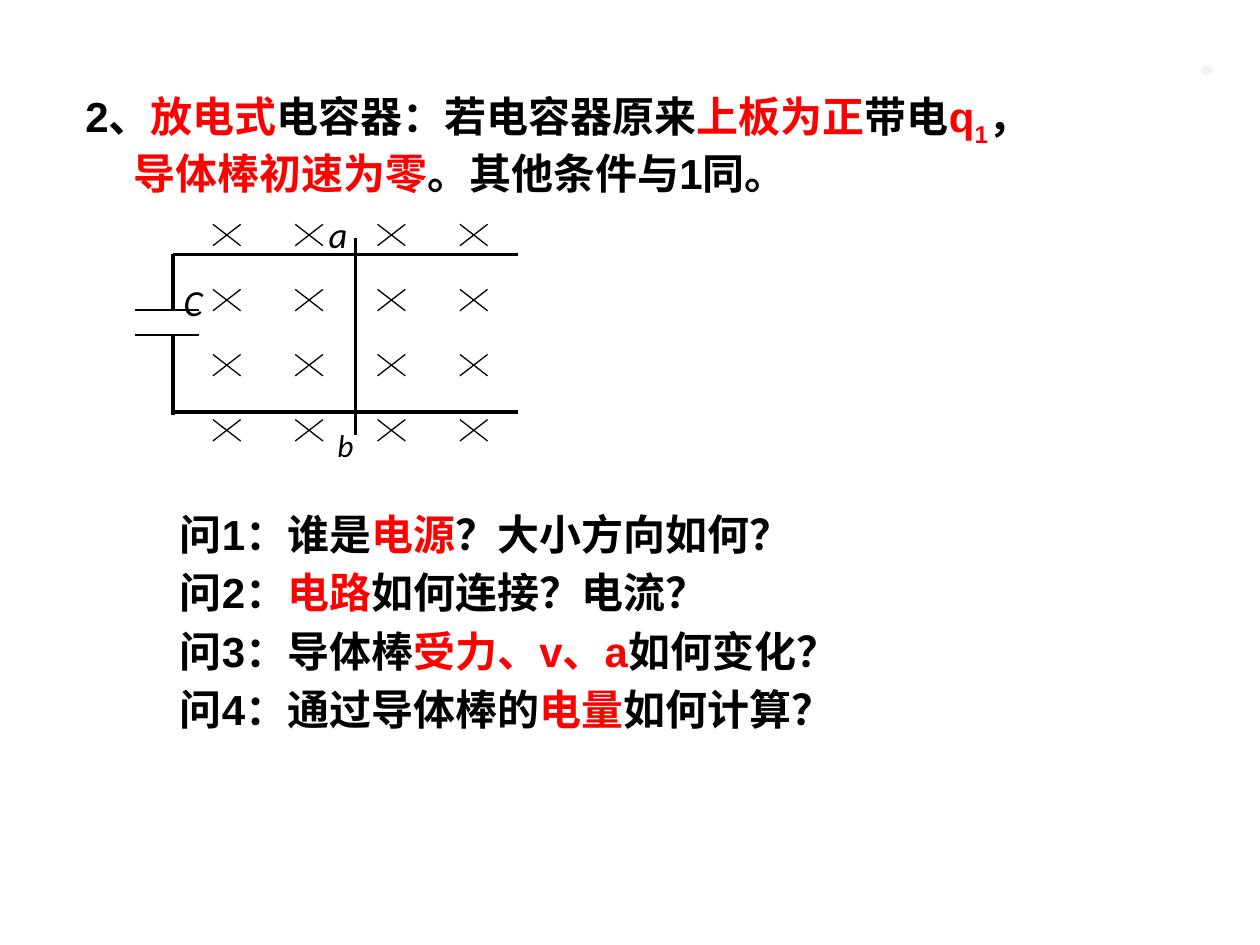
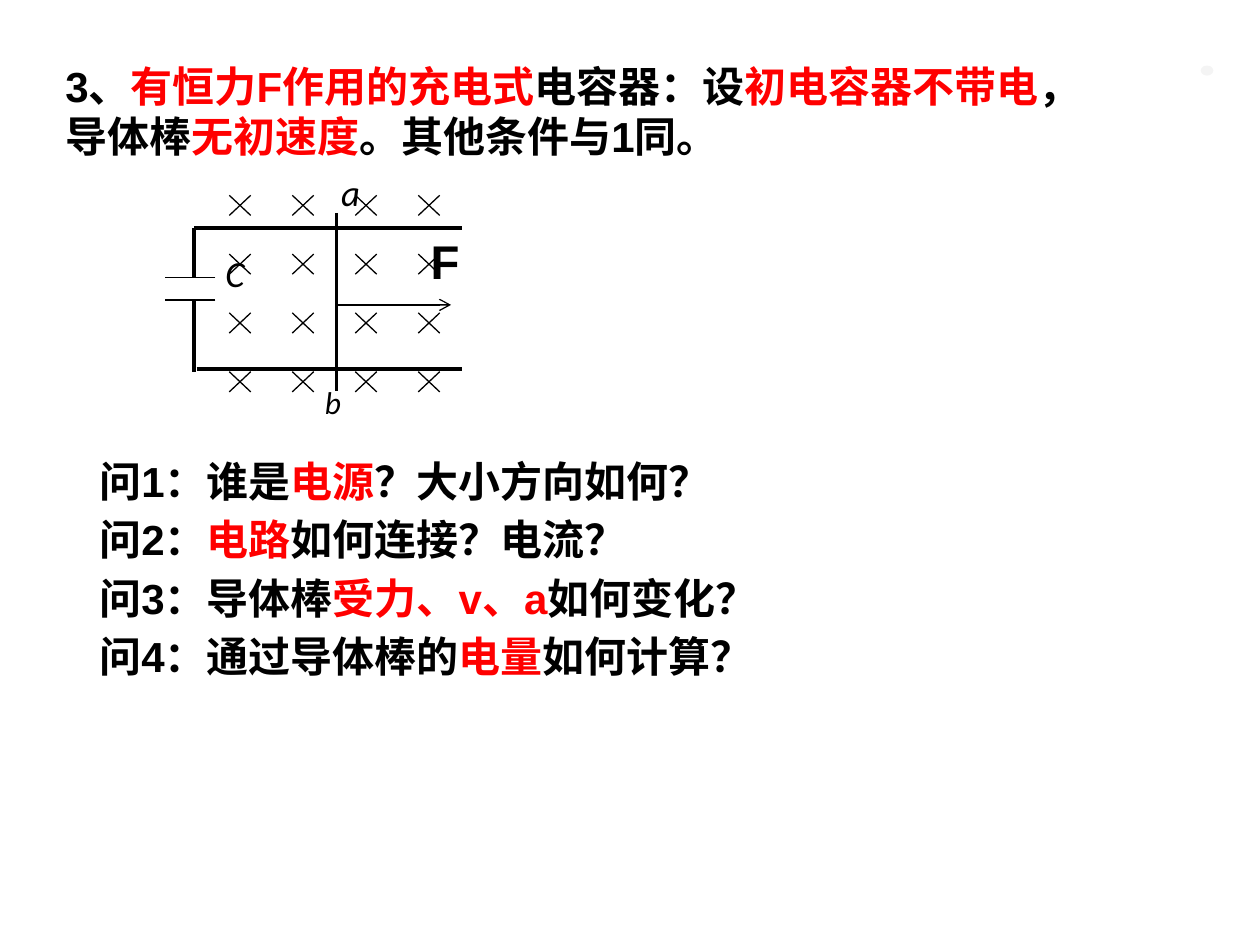
"""Build two slides on capacitor circuits with a conducting rod in a magnetic field."""
from lxml import etree
from pptx import Presentation
from pptx import util as u
from pptx.dml import color
from pptx.enum import shapes
from pptx.oxml import ns

COLORS = {"text": "000000", "accent": "FF0000", "paper": "FFFFFF", "dot": "DDDDDD"}
THIN, ROD, WIRE = 0.75, 1.5, 2.25
GRID_COUNT = 4
QUESTIONS = [
    "问1：谁是|电源|？大小方向如何？",
    "问2：|电路|如何连接？电流？",
    "问3：导体棒|受力、v、a|如何变化？",
    "问4：通过导体棒的|电量|如何计算？",
]
SLIDES = [
    {
        "title": ["2、|放电式|电容器：若电容器原来|上板为正|带电|q_1|，",
                  "|导体棒初速为零|。其他条件与1同。"],
        "title_box": (0.58, 0.67, 7.95, 0.96),
        "question_box": (1.33, 3.92, 5.44, 2.88),
        "cross_x": (1.69, 3.65), "cross_y": (1.78, 3.33), "cross_size": (0.22, 0.17),
        "wire_x": (1.37, 4.11), "wire_y": (2.02, 3.27),
        "plate_x": (1.07, 1.58), "plate_y": (2.46, 2.66),
        "rod": (2.82, 1.89, 2.82, 3.45),
        "labels": [("a", 21, (2.51, 1.63, 0.39, 0.28)),
                   ("b", 18, (2.58, 3.33, 0.39, 0.34)),
                   ("C", 21, (1.36, 2.17, 0.38, 0.29))],
        "force": None,
    },
    {
        "title": ["3、|有恒力F作用的充电式|电容器：设|初电容器不带电|，导体棒|无初速度|。其他条件与1同。"],
        "title_box": (0.42, 0.43, 7.99, 0.9),
        "question_box": (0.69, 3.5, 5.44, 2.88),
        "cross_x": (1.82, 3.32), "cross_y": (1.55, 2.95), "cross_size": (0.17, 0.16),
        "wire_x": (1.54, 3.67), "wire_y": (1.81, 2.93),
        "plate_x": (1.31, 1.71), "plate_y": (2.2, 2.38),
        "rod": (2.67, 1.69, 2.67, 3.1),
        "labels": [("a", 21, (2.61, 1.3, 0.31, 0.25)),
                   ("b", 18, (2.48, 2.99, 0.31, 0.31)),
                   ("C", 21, (1.69, 1.94, 0.3, 0.26))],
        "force": {"arrow": (2.67, 2.42, 3.58, 2.42), "box": (3.32, 1.79, 0.53, 0.55)},
    },
]


def add_line(slide, ends, width):
    line = slide.shapes.add_connector(
        shapes.MSO_CONNECTOR.STRAIGHT, *[u.Inches(value) for value in ends])
    line.line.color.rgb = color.RGBColor.from_string(COLORS["text"])
    line.line.width = u.Pt(width)
    etree.SubElement(line._element.spPr, ns.qn("a:effectLst"))
    return line


def add_text(slide, box, lines, size=24, font="Arial", italic=False, spacing=None):
    """Write lines whose |marked| parts are red and whose _ starts a subscript."""
    frame = slide.shapes.add_textbox(*[u.Inches(value) for value in box]).text_frame
    frame.word_wrap = True
    for number, line in enumerate(lines):
        paragraph = frame.add_paragraph() if number else frame.paragraphs[0]
        paragraph.line_spacing = spacing
        paragraph.font.name = font
        paragraph.font.size = u.Pt(size)
        paragraph.font.bold = not italic
        paragraph.font.italic = italic
        for part_number, part in enumerate(line.split("|")):
            base, _, subscript = part.partition("_")
            for words, offset in ((base, None), (subscript, "-25000")):
                if words:
                    run = paragraph.add_run()
                    run.text = words
                    run.font.color.rgb = color.RGBColor.from_string(
                        COLORS["accent" if part_number % 2 else "text"])
                    if offset:
                        run.font._element.set("baseline", offset)
    return frame


presentation = Presentation()
presentation.slide_width = u.Inches(10)
presentation.slide_height = u.Inches(7.5)

for content in SLIDES:
    slide = presentation.slides.add_slide(presentation.slide_layouts[6])

    dot = slide.shapes.add_shape(
        shapes.MSO_SHAPE.OVAL, u.Inches(9.53), u.Inches(0.52), u.Inches(0.1), u.Inches(0.08))
    dot.shadow.inherit = False
    dot.fill.solid()
    dot.fill.fore_color.rgb = color.RGBColor.from_string(COLORS["dot"])
    dot.line.fill.background()
    dot_color = dot._element.spPr.find(".//" + ns.qn("a:srgbClr"))
    etree.SubElement(dot_color, ns.qn("a:alpha"), val="32000")

    first_x, last_x = content["cross_x"]
    first_y, last_y = content["cross_y"]
    cross_width, cross_height = content["cross_size"]
    for column in range(GRID_COUNT):
        left = first_x + column * (last_x - first_x) / (GRID_COUNT - 1)
        right = left + cross_width
        for row in range(GRID_COUNT):
            top = first_y + row * (last_y - first_y) / (GRID_COUNT - 1)
            bottom = top + cross_height
            add_line(slide, (left, top, right, bottom), THIN)
            add_line(slide, (right, top, left, bottom), THIN)

    wire_left, wire_right = content["wire_x"]
    wire_top, wire_bottom = content["wire_y"]
    add_line(slide, (wire_left, wire_top, wire_right, wire_top), WIRE)
    add_line(slide, (wire_left + 0.02, wire_bottom, wire_right, wire_bottom), WIRE)
    add_line(slide, (wire_left, wire_top, wire_left, wire_bottom + 0.02), WIRE)

    plate_left, plate_right = content["plate_x"]
    plate_top, plate_bottom = content["plate_y"]
    gap = slide.shapes.add_shape(
        shapes.MSO_SHAPE.RECTANGLE, u.Inches(plate_left), u.Inches(plate_top),
        u.Inches(plate_right - plate_left), u.Inches(plate_bottom - plate_top))
    gap.shadow.inherit = False
    gap.fill.solid()
    gap.fill.fore_color.rgb = color.RGBColor.from_string(COLORS["paper"])
    gap.line.fill.background()
    for plate_y in content["plate_y"]:
        add_line(slide, (plate_right, plate_y, plate_left, plate_y), THIN)
    add_line(slide, content["rod"], ROD)

    for label, size, box in content["labels"]:
        add_text(slide, box, [label], size, "Calibri", italic=True)

    if content["force"]:
        arrow = add_line(slide, content["force"]["arrow"], THIN)
        etree.SubElement(arrow.line._get_or_add_ln(), ns.qn("a:tailEnd"), type="arrow")
        add_text(slide, content["force"]["box"], ["F"], 27)

    title = add_text(slide, content["title_box"], content["title"])
    for paragraph in title.paragraphs[1:]:
        paragraph._p.get_or_add_pPr().set("marL", str(u.Inches(0.38)))
    add_text(slide, content["question_box"], QUESTIONS, spacing=u.Pt(33.4))

presentation.save("out.pptx")
